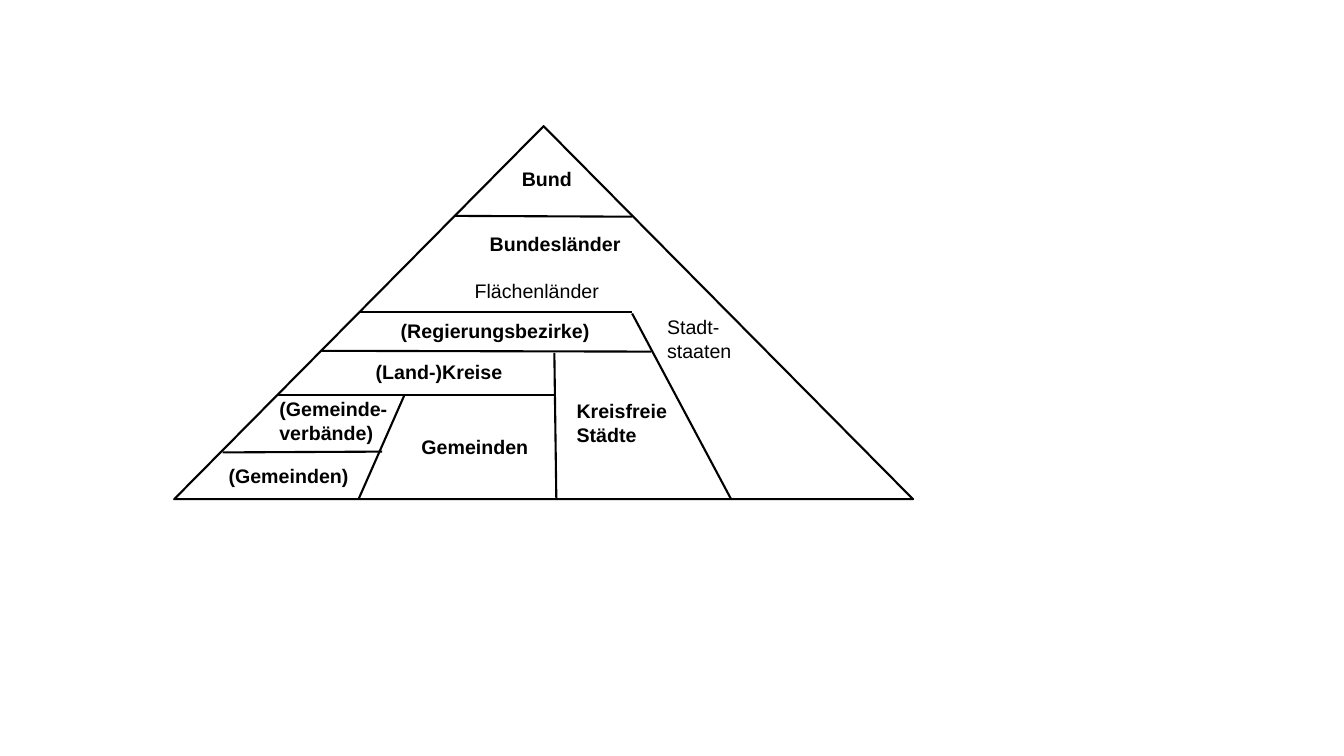
import pptx
import pptx.util
import pptx.dml.color
import pptx.enum.shapes
import pptx.enum.text
import pptx.oxml.ns
from lxml import etree

Cm = pptx.util.Cm
Pt = pptx.util.Pt
BLACK = pptx.dml.color.RGBColor(0, 0, 0)
BASE = 12.57

prs = pptx.Presentation()
prs.slide_width = Cm(33.87)
prs.slide_height = Cm(19.05)
s = prs.slides.add_slide(prs.slide_layouts[6])
pyramid = s.shapes.add_group_shape()

sp = pyramid.shapes.add_shape(
    pptx.enum.shapes.MSO_SHAPE.ISOSCELES_TRIANGLE, Cm(4.39), Cm(3.18), Cm(18.62), Cm(9.4))
sp.shadow.inherit = False
sp.fill.background()
sp.line.color.rgb = BLACK
sp.line.width = Pt(1.5)

dividers = [
    (11.46, 5.44, 15.93, 5.46),
    (9.04, 7.87, 15.93, 7.87),
    (15.93, 7.9, 18.42, BASE),
    (8.1, 8.84, 16.41, 8.86),
    (7.01, 9.96, 14, 9.96),
    (5.61, 11.4, 9.63, 11.38),
    (10.19, 9.96, 9.04, BASE),
    (13.97, 8.89, 14.02, BASE),
]
for ends in dividers:
    line = pyramid.shapes.add_connector(
        pptx.enum.shapes.MSO_CONNECTOR.STRAIGHT, *[Cm(v) for v in ends])
    line.line.color.rgb = BLACK
    line.line.width = Pt(1.5)
    etree.SubElement(line._element.spPr, pptx.oxml.ns.qn("a:effectLst"))

labels = [
    ("Bund", 12.9, 4.09, 1.78, True),
    ("Bundesländer", 12.09, 5.73, 3.84, True),
    ("Flächenländer", 11.71, 6.9, 3.69, False),
    ("Stadt-\nstaaten", 16.56, 7.82, 2.16, False),
    ("(Regierungsbezirke)", 9.85, 7.9, 5.32, True),
    ("(Land-)Kreise", 9.22, 8.95, 3.74, True),
    ("Kreisfreie\nStädte", 14.28, 9.93, 2.92, True),
    ("(Gemeinde-\nverbände)", 6.79, 9.88, 3.28, True),
    ("(Gemeinden)", 5.51, 11.56, 3.58, True),
    ("Gemeinden", 10.37, 10.83, 3.26, True),
]
for text, left, top, width, bold in labels:
    height = 1.42 if "\n" in text else 0.84
    tb = pyramid.shapes.add_textbox(Cm(left), Cm(top), Cm(width), Cm(height))
    tf = tb.text_frame
    tf.word_wrap = False
    tf.auto_size = pptx.enum.text.MSO_AUTO_SIZE.SHAPE_TO_FIT_TEXT
    tf.text = text
    for p in tf.paragraphs:
        for r in p.runs:
            r.font.name = "Arial"
            r.font.size = Pt(14)
            r.font.bold = bold
            r.font.color.rgb = BLACK

prs.save("out.pptx")
